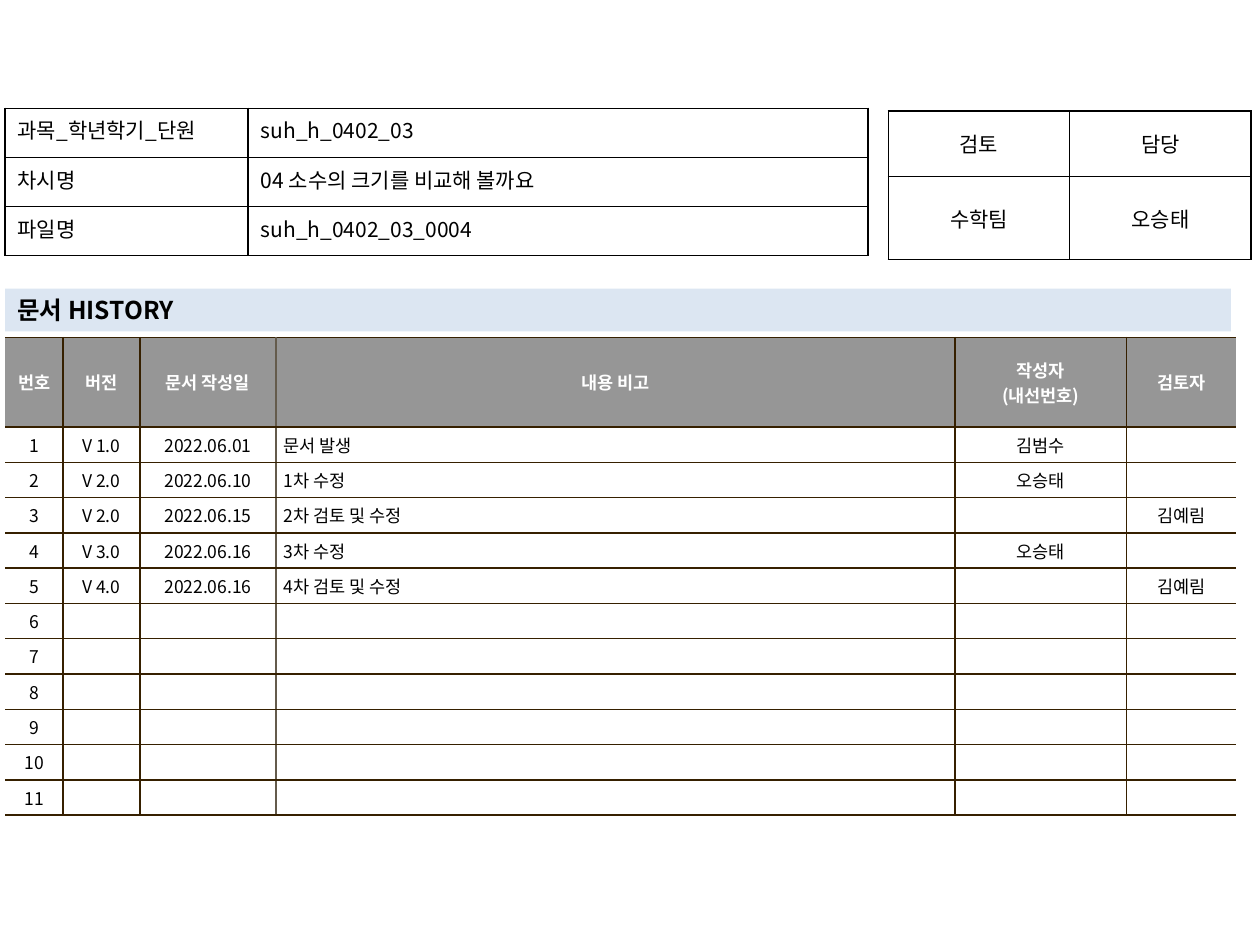
from dataclasses import dataclass

from lxml import etree
from pptx import Presentation
from pptx import util as u
from pptx.dml.color import RGBColor
from pptx.enum import shapes, text
from pptx.oxml import ns

FONT = "Noto Sans CJK KR"
COLORS = {
    "black": "000000",
    "white": "FFFFFF",
    "header": "969696",
    "bar": "DCE6F2",
    "rule": "362000",
    "soft_rule": "645B4C",
}
CENTER = text.PP_ALIGN.CENTER
LEFT = text.PP_ALIGN.LEFT
JUSTIFY = text.PP_ALIGN.JUSTIFY
MIDDLE = text.MSO_ANCHOR.MIDDLE
TOP = text.MSO_ANCHOR.TOP


@dataclass
class TextStyle:
    size: int
    color: str = "black"
    bold: bool = False


@dataclass
class CellStyle:
    span: TextStyle
    align: text.PP_ALIGN
    anchor: text.MSO_ANCHOR
    margins: tuple[float, float]
    borders: dict[str, str | None]
    fill: str | None = None


@dataclass
class Grid:
    left: float
    top: float
    columns: list[float]
    rows: list[float]
    content: list[list[str]]


def style_paragraph(para, style: TextStyle, align: text.PP_ALIGN) -> None:
    para.alignment = align
    font = para.font
    font.size = u.Pt(style.size)
    font.bold = style.bold
    font.color.rgb = RGBColor.from_string(COLORS[style.color])
    font.name = FONT
    etree.SubElement(font._element, ns.qn("a:ea"), typeface=FONT)
    if not para.runs:
        end = etree.SubElement(para._p, ns.qn("a:endParaRPr"))
        end.set("sz", str(style.size * 100))


def add_border(cell, side: str, color: str | None) -> None:
    properties = cell._tc.get_or_add_tcPr()
    line = etree.SubElement(properties, ns.qn(f"a:ln{side}"), w=str(u.Pt(1)))
    if color is None:
        etree.SubElement(line, ns.qn("a:noFill"))
    else:
        fill = etree.SubElement(line, ns.qn("a:solidFill"))
        etree.SubElement(fill, ns.qn("a:srgbClr"), val=COLORS[color])


def style_cell(cell, style: CellStyle) -> None:
    for side in "LRTB":
        add_border(cell, side, style.borders[side])
    if style.fill:
        cell.fill.solid()
        cell.fill.fore_color.rgb = RGBColor.from_string(COLORS[style.fill])
    else:
        cell.fill.background()
    cell.vertical_anchor = style.anchor
    across, down = style.margins
    cell.margin_left = cell.margin_right = u.Inches(across)
    cell.margin_top = cell.margin_bottom = u.Inches(down)
    for para in cell.text_frame.paragraphs:
        style_paragraph(para, style.span, style.align)


def add_grid(page, grid: Grid, choose_style) -> None:
    table = page.shapes.add_table(
        len(grid.rows), len(grid.columns),
        u.Inches(grid.left), u.Inches(grid.top),
        u.Inches(sum(grid.columns)), u.Inches(sum(grid.rows)),
    ).table
    table.first_row = table.horz_banding = False
    for column, width in zip(table.columns, grid.columns):
        column.width = u.Inches(width)
    for row, height in zip(table.rows, grid.rows):
        row.height = u.Inches(height)
    for row, values in enumerate(grid.content):
        for column, value in enumerate(values):
            cell = table.cell(row, column)
            cell.text = value
            style_cell(cell, choose_style(row, column))


def history_style(row: int, column: int) -> CellStyle:
    edges = [None, "rule", "rule", "soft_rule", "rule", "rule", None]
    header = row == 0
    return CellStyle(
        span=TextStyle(10, "white" if header else "black", header),
        align=LEFT if column == 3 and not header else CENTER,
        anchor=MIDDLE,
        margins=(0.06, 0.04),
        borders={"L": edges[column], "R": edges[column + 1], "T": "rule", "B": "rule"},
        fill="header" if header else "white",
    )


def boxed_style(align: text.PP_ALIGN, anchor: text.MSO_ANCHOR) -> CellStyle:
    return CellStyle(TextStyle(12), align, anchor, (0.1, 0.05), dict.fromkeys("LRTB", "black"))


def review_style(row: int, column: int) -> CellStyle:
    return boxed_style(CENTER, MIDDLE)


def lesson_style(row: int, column: int) -> CellStyle:
    return boxed_style(LEFT if column else JUSTIFY, TOP)


def add_heading(page, title: str) -> None:
    bar = page.shapes.add_shape(
        shapes.MSO_SHAPE.RECTANGLE,
        u.Inches(0.04), u.Inches(2.29), u.Inches(9.73), u.Inches(0.34),
    )
    bar.shadow.inherit = False
    bar.fill.solid()
    bar.fill.fore_color.rgb = RGBColor.from_string(COLORS["bar"])
    bar.line.fill.background()
    frame = bar.text_frame
    frame.word_wrap = True
    frame.vertical_anchor = MIDDLE
    frame.text = title
    style_paragraph(frame.paragraphs[0], TextStyle(14, bold=True), LEFT)


ENTRIES = [
    ["V 1.0", "2022.06.01", "문서 발생", "김범수", ""],
    ["V 2.0", "2022.06.10", "1차 수정", "오승태", ""],
    ["V 2.0", "2022.06.15", "2차 검토 및 수정", "", "김예림"],
    ["V 3.0", "2022.06.16", "3차 수정", "오승태", ""],
    ["V 4.0", "2022.06.16", "4차 검토 및 수정", "", "김예림"],
]
ENTRY_ROWS = 11
BLANK_ENTRIES = [[""] * 5] * (ENTRY_ROWS - len(ENTRIES))

HISTORY = Grid(
    0.04, 2.68, [0.46, 0.61, 1.08, 5.39, 1.36, 0.87], [0.71] + [0.28] * ENTRY_ROWS,
    [["번호", "버전", "문서 작성일", "내용 비고", "작성자\n(내선번호)", "검토자"]]
    + [[str(number), *entry] for number, entry in enumerate(ENTRIES + BLANK_ENTRIES, 1)],
)
REVIEW = Grid(
    7.05, 0.88, [1.44] * 2, [0.52, 0.66],
    [["검토", "담당"], ["수학팀", "오승태"]],
)
LESSON = Grid(
    0.04, 0.86, [1.93, 4.92], [0.39] * 3,
    [
        ["과목_학년학기_단원", "suh_h_0402_03"],
        ["차시명", "04 소수의 크기를 비교해 볼까요"],
        ["파일명", "suh_h_0402_03_0004"],
    ],
)


def main() -> None:
    deck = Presentation()
    deck.slide_width, deck.slide_height = u.Inches(10), u.Inches(7.5)
    page = deck.slides.add_slide(deck.slide_layouts[6])
    add_grid(page, HISTORY, history_style)
    add_grid(page, REVIEW, review_style)
    add_heading(page, "문서 HISTORY")
    add_grid(page, LESSON, lesson_style)
    deck.save("out.pptx")


if __name__ == "__main__":
    main()
